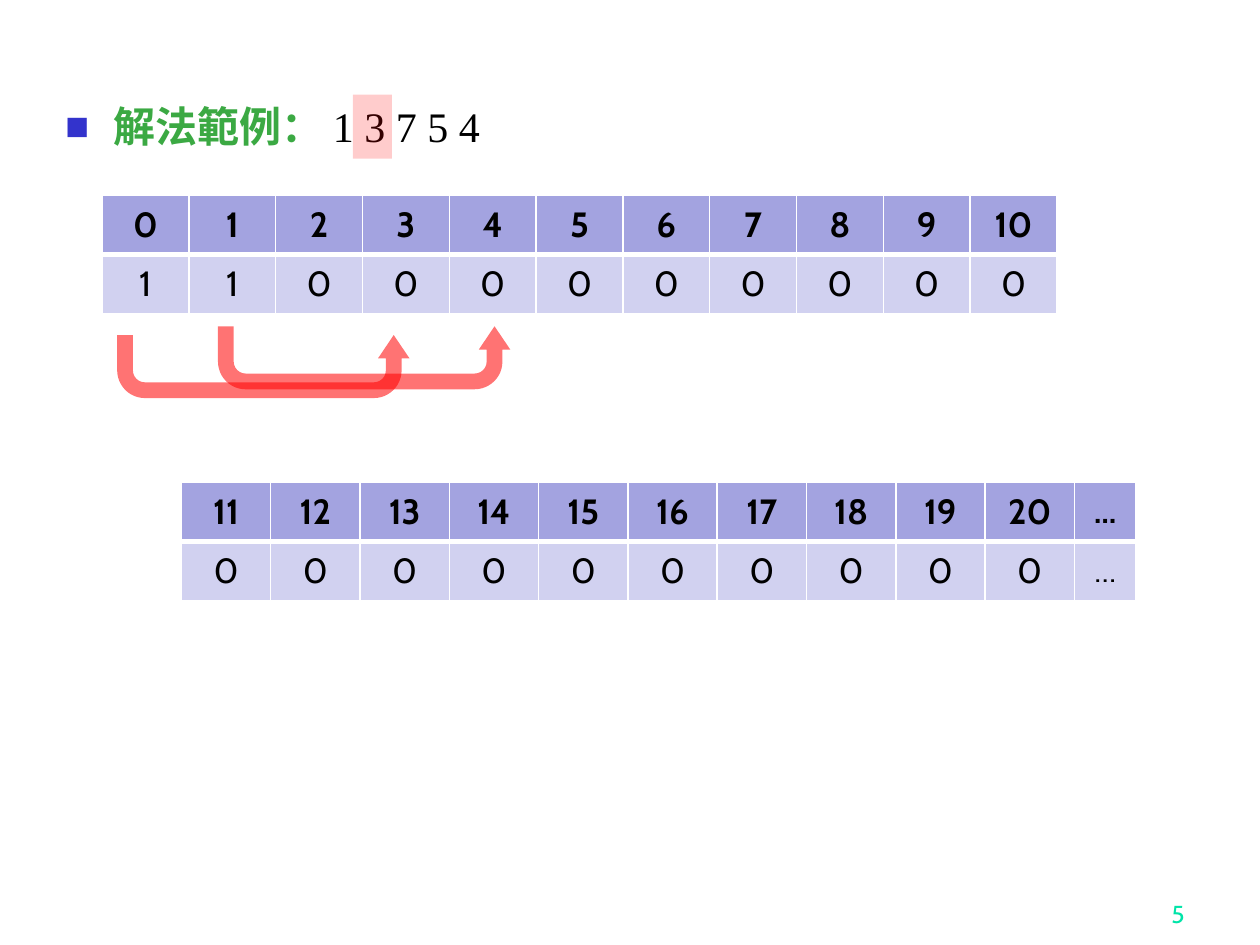
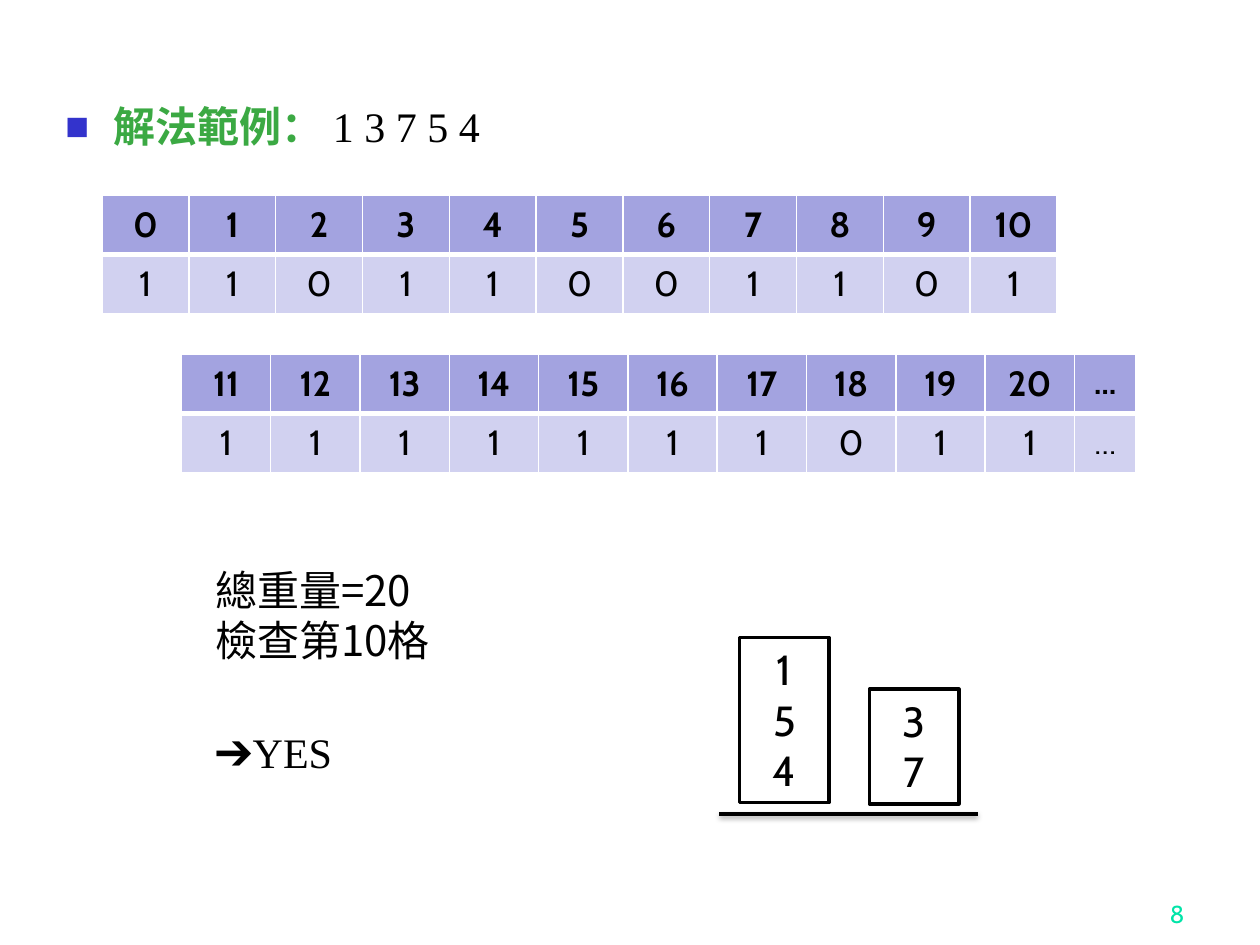
import dataclasses

import lxml.etree
import pptx
import pptx.dml.color
import pptx.enum.shapes
import pptx.enum.text
import pptx.oxml.ns
import pptx.util

qn = pptx.oxml.ns.qn
Shapes = pptx.enum.shapes.MSO_SHAPE
Align = pptx.enum.text.PP_ALIGN
Anchor = pptx.enum.text.MSO_ANCHOR
AutoSize = pptx.enum.text.MSO_AUTO_SIZE


@dataclasses.dataclass(frozen=True)
class Theme:
    black: str = "000000"
    white: str = "FFFFFF"
    red: str = "FF0000"
    title: str = "3BA943"
    bullet: str = "3333CC"
    page_number: str = "00E4A8"
    header: str = "A3A3E0"
    body: str = "D1D1F0"
    serif: str = "Times New Roman"
    sans: str = "Cabin"
    chinese: str = "Noto Sans CJK SC"
    text_size: int = 24
    cell_size: int = 20
    dots_size: int = 18
    number_size: int = 14
    outline: int = 2


THEME = Theme()
COLUMNS, ROWS = 100, 75
WIDTH, HEIGHT = pptx.util.Inches(10), pptx.util.Inches(7.5)

WEIGHTS = "1 3 7 5 4"
LOW_SUMS = [str(total) for total in range(11)]
HIGH_SUMS = [str(total) for total in range(11, 21)] + ["…"]
LOW_WIDTHS = [6.89] * 11
HIGH_WIDTHS = [7.09] * 10 + [4.89]
LOW_LEFT, HIGH_LEFT = 8.1, 14.4


def across(columns):
    return round(columns * WIDTH / COLUMNS)


def down(rows):
    return round(rows * HEIGHT / ROWS)


def rgb(color):
    return pptx.dml.color.RGBColor.from_string(color)


def add_xml(parent, tag, **attributes):
    child = lxml.etree.SubElement(parent, qn(tag))
    for name, value in attributes.items():
        child.set(name, str(value))
    return child


class Painter:
    """Draws on the current page; places are (left, top, width, height) in grid units."""

    def __init__(self, deck, theme):
        self.deck = deck
        self.theme = theme
        self.page = None

    def start_page(self, number, title_width):
        self.page = self.deck.slides.add_slide(self.deck.slide_layouts[6])
        self.text((74.2, 69.2, 20.8, 5), [str(number)], self.theme.sans,
                  size=self.theme.number_size, color=self.theme.page_number,
                  align=Align.RIGHT, anchor=Anchor.BOTTOM)
        self.title(title_width)

    def span(self, para, text, font, size, color, bold=False):
        span = para.add_run()
        span.text = text
        span.font.name = font
        span.font.size = pptx.util.Pt(size)
        span.font.bold = bold
        span.font.color.rgb = rgb(color)
        add_xml(span.font._element, "a:ea", typeface=self.theme.chinese)

    def lines(self, frame, lines, font, size, color, align):
        for index, line in enumerate(lines):
            para = frame.add_paragraph() if index else frame.paragraphs[0]
            para.alignment = align
            self.span(para, line, font, size, color)

    def box(self, place, wrap=True):
        left, top, width, height = place
        box = self.page.shapes.add_textbox(across(left), down(top), across(width), down(height))
        box.text_frame.word_wrap = wrap
        return box

    def text(self, place, lines, font, size=THEME.text_size, color=THEME.black,
             align=Align.LEFT, anchor=Anchor.TOP, wrap=True):
        frame = self.box(place, wrap).text_frame
        frame.vertical_anchor = anchor
        self.lines(frame, lines, font, size, color, align)

    def title(self, width):
        theme = self.theme
        para = self.box((4.2, 7.5, width, 5.1)).text_frame.paragraphs[0]
        indent = across(3.8)
        properties = para._p.get_or_add_pPr()
        properties.set("marL", str(indent))
        properties.set("indent", str(-indent))
        add_xml(add_xml(properties, "a:buClr"), "a:srgbClr", val=theme.bullet)
        add_xml(properties, "a:buSzPct", val=60000)
        add_xml(properties, "a:buFont", typeface=theme.sans)
        add_xml(properties, "a:buChar", char="■")
        self.span(para, "解法範例： ", theme.serif, theme.text_size, theme.title, bold=True)
        self.span(para, WEIGHTS, theme.serif, theme.text_size, theme.black)

    def borders(self, cell, top, bottom):
        properties = cell._tc.get_or_add_tcPr()
        for side, points in (("L", 1), ("R", 1), ("T", top), ("B", bottom)):
            line = add_xml(properties, f"a:ln{side}", w=pptx.util.Pt(points))
            add_xml(add_xml(line, "a:solidFill"), "a:srgbClr", val=self.theme.white)

    def sums_table(self, left, top, widths, sums, reachable):
        """Put each sum above its 0 or 1 mark for whether it can be reached."""
        theme = self.theme
        row_height = 4.7
        table = self.page.shapes.add_table(
            2, len(widths), across(left), down(top),
            across(sum(widths)), down(2 * row_height)).table
        table.horz_banding = False
        for column, width in zip(table.columns, widths):
            column.width = across(width)
        styles = ((sums, theme.header, True, 1, 3), (reachable, theme.body, False, 3, 1))
        for row, (values, fill, bold, upper, lower) in enumerate(styles):
            table.rows[row].height = down(row_height)
            for column, value in enumerate(values):
                cell = table.cell(row, column)
                self.borders(cell, upper, lower)
                cell.fill.solid()
                cell.fill.fore_color.rgb = rgb(fill)
                cell.vertical_anchor = Anchor.MIDDLE
                para = cell.text_frame.paragraphs[0]
                para.alignment = Align.CENTER
                size = theme.dots_size if value == "…" else theme.cell_size
                self.span(para, value, theme.sans, size, theme.black, bold)

    def shape(self, kind, place, fill, opacity=100):
        left, top, width, height = place
        shape = self.page.shapes.add_shape(
            kind, across(left), down(top), across(width), down(height))
        shape.shadow.inherit = False
        shape.fill.solid()
        shape.fill.fore_color.rgb = rgb(fill)
        shape.line.fill.background()
        if opacity < 100:
            color = shape._element.spPr.find(qn("a:solidFill")).find(qn("a:srgbClr"))
            add_xml(color, "a:alpha", val=opacity * 1000)
        return shape

    def jump_arrow(self, left, top):
        arrow = self.shape(Shapes.U_TURN_ARROW, (left, top, 23.2, 5), self.theme.red, opacity=55)
        arrow._element.spPr.find(qn("a:xfrm")).set("flipV", "1")
        for index, value in enumerate((0.25, 0.25, 0.37, 0.44, 1)):
            arrow.adjustments[index] = value

    def weight_stack(self, place, weights):
        theme = self.theme
        stack = self.shape(Shapes.RECTANGLE, place, theme.white)
        stack.line.color.rgb = rgb(theme.black)
        stack.line.width = pptx.util.Pt(theme.outline)
        frame = stack.text_frame
        frame.word_wrap = True
        frame.auto_size = AutoSize.SHAPE_TO_FIT_TEXT
        frame.vertical_anchor = Anchor.TOP
        self.lines(frame, weights, theme.sans, theme.text_size, theme.black, Align.CENTER)

    def ground_line(self, left, right, row):
        line = self.page.shapes.add_connector(
            pptx.enum.shapes.MSO_CONNECTOR.STRAIGHT,
            across(left), down(row), across(right), down(row))
        line.line.color.rgb = rgb(self.theme.black)
        line.line.width = pptx.util.Pt(self.theme.outline)
        effects = add_xml(line._element.spPr, "a:effectLst")
        shadow = add_xml(effects, "a:outerShdw", blurRad=pptx.util.Pt(3.1),
                         dist=pptx.util.Pt(1.6), dir=90 * 60000, rotWithShape=0)
        add_xml(add_xml(shadow, "a:srgbClr", val=self.theme.black), "a:alpha", val=38000)


def draw_second_weight(painter):
    painter.start_page(5, title_width=41.9)
    painter.sums_table(LOW_LEFT, 15.5, LOW_WIDTHS, LOW_SUMS, "11000000000")
    painter.sums_table(HIGH_LEFT, 38.3, HIGH_WIDTHS, HIGH_SUMS, "0000000000…")
    painter.shape(Shapes.RECTANGLE, (28, 7.5, 3.1, 5.1), painter.theme.red, opacity=20)
    painter.jump_arrow(17.3, 25.9)
    painter.jump_arrow(9.3, 26.6)


def draw_answer(painter):
    theme = painter.theme
    painter.start_page(8, title_width=38.8)
    painter.sums_table(LOW_LEFT, 15.5, LOW_WIDTHS, LOW_SUMS, "11011001101")
    painter.sums_table(HIGH_LEFT, 28.1, HIGH_WIDTHS, HIGH_SUMS, "1111111011…")
    painter.text((16.1, 44.3, 22, 9.1), ["總重量=20", "檢查第10格"], theme.chinese)
    painter.text((16.1, 57.2, 12, 5.1), ["➔YES"], theme.serif, wrap=False)
    painter.weight_stack((58.7, 50.6, 7.1, 13.1), "154")
    painter.weight_stack((69, 54.7, 7.1, 9.1), "37")
    painter.ground_line(57.1, 77.6, 64.6)


def main():
    deck = pptx.Presentation()
    deck.slide_width, deck.slide_height = WIDTH, HEIGHT
    painter = Painter(deck, THEME)
    draw_second_weight(painter)
    draw_answer(painter)
    deck.save("out.pptx")


if __name__ == "__main__":
    main()
